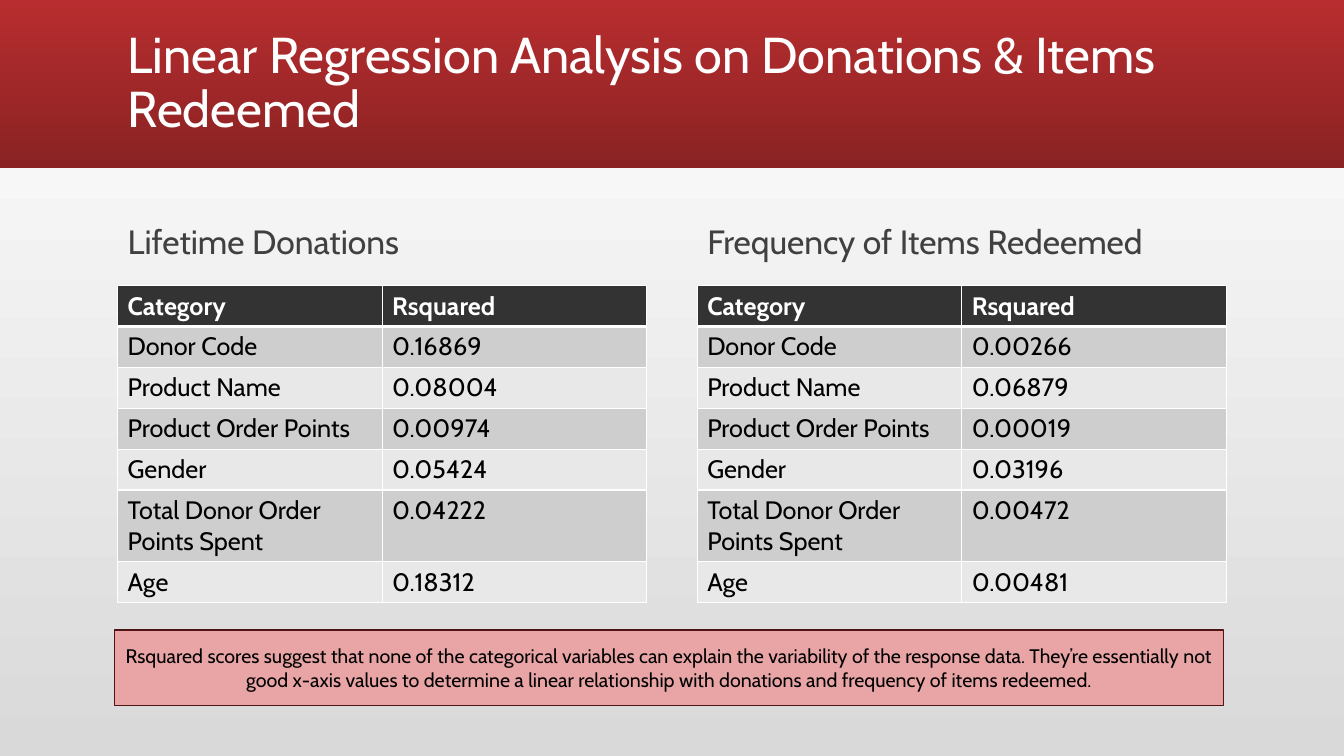
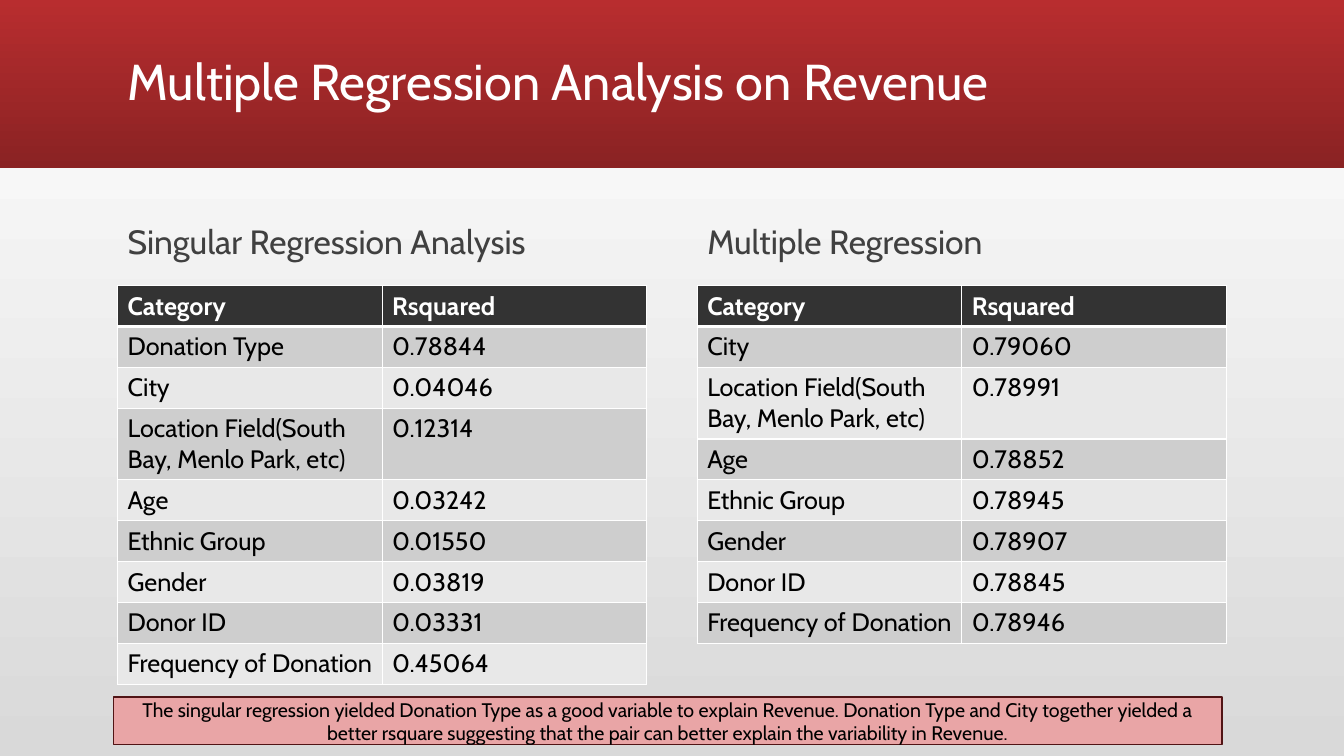
import dataclasses
import typing

import lxml.etree
import pptx
import pptx.dml.color
import pptx.dml.fill
import pptx.enum.shapes
import pptx.enum.text
import pptx.oxml.ns
import pptx.presentation
import pptx.slide
import pptx.table
import pptx.text.text
import pptx.util

Pt = pptx.util.Pt
Align = pptx.enum.text.PP_ALIGN
Anchor = pptx.enum.text.MSO_ANCHOR

FONT = "Cabin"
HUE = {
    "white": "FFFFFF", "black": "000000", "grey": "D9D9D9", "sub": "404040",
    "red": "B82D2F", "dark": "8A2223", "head": "333333",
    "odd": "CECECE", "even": "E8E8E8", "note": "E9A5A6", "edge": "511415",
}
WIDE, HIGH, BAND = 960, 540, 120
LEFT, SPAN, GAP = 84, 792, 36
HALF = (SPAN - GAP) / 2
ROW = 29.2
HEADS = ("Category", "Rsquared")


@dataclasses.dataclass
class Panel:
    name: str
    rows: list[tuple[str, str]]


@dataclasses.dataclass
class Note:
    text: str
    left: float
    top: float
    high: float


@dataclasses.dataclass
class Page:
    title: str
    panels: tuple[Panel, Panel]
    note: Note


PAGES = [
    Page(
        "Linear Regression Analysis on Donations & Items Redeemed",
        (
            Panel("Lifetime Donations", [
                ("Donor Code", "0.16869"),
                ("Product Name", "0.08004"),
                ("Product Order Points", "0.00974"),
                ("Gender", "0.05424"),
                ("Total Donor Order Points Spent", "0.04222"),
                ("Age", "0.18312"),
            ]),
            Panel("Frequency of Items Redeemed", [
                ("Donor Code", "0.00266"),
                ("Product Name", "0.06879"),
                ("Product Order Points", "0.00019"),
                ("Gender", "0.03196"),
                ("Total Donor Order Points Spent", "0.00472"),
                ("Age", "0.00481"),
            ]),
        ),
        Note("Rsquared scores suggest that none of the categorical variables can "
             "explain the variability of the response data. They’re essentially "
             "not good x-axis values to determine a linear relationship with "
             "donations and frequency of items redeemed.", 82, 450, 54),
    ),
    Page(
        "Multiple Regression Analysis on Revenue",
        (
            Panel("Singular Regression Analysis", [
                ("Donation Type", "0.78844"),
                ("City", "0.04046"),
                ("Location Field(South Bay, Menlo Park, etc)", "0.12314"),
                ("Age", "0.03242"),
                ("Ethnic Group", "0.01550"),
                ("Gender", "0.03819"),
                ("Donor ID", "0.03331"),
                ("Frequency of Donation", "0.45064"),
            ]),
            Panel("Multiple Regression", [
                ("City", "0.79060"),
                ("Location Field(South Bay, Menlo Park, etc)", "0.78991"),
                ("Age", "0.78852"),
                ("Ethnic Group", "0.78945"),
                ("Gender", "0.78907"),
                ("Donor ID", "0.78845"),
                ("Frequency of Donation", "0.78946"),
            ]),
        ),
        Note("The singular regression yielded Donation Type as a good variable to "
             "explain Revenue. Donation Type and City together yielded a better "
             "rsquare suggesting that the pair can better explain the variability "
             "in Revenue.", 81, 498, 34),
    ),
]


def rgb(name: str) -> pptx.dml.color.RGBColor:
    return pptx.dml.color.RGBColor.from_string(HUE[name])


def write(frame: pptx.text.text.TextFrame, text: str, *, size: float,
          hue: str = "black", bold: bool = False, align: Align = Align.LEFT,
          lead: float = 1.0, gap: float = 0) -> None:
    frame.word_wrap = True
    frame.text = text
    para = frame.paragraphs[0]
    para.alignment = align
    para.line_spacing = lead
    para.space_before = Pt(gap)
    font = para.runs[0].font
    font.name, font.size, font.bold = FONT, Pt(size), bold
    font.color.rgb = rgb(hue)


def blend(fill: pptx.dml.fill.FillFormat, hues: tuple[str, str],
          angle: float) -> None:
    fill.gradient()
    fill.gradient_angle = angle
    for stop, hue in zip(fill.gradient_stops, hues):
        stop.color.rgb = rgb(hue)


def block(slide: pptx.slide.Slide, left: float, top: float, wide: float,
          high: float) -> typing.Any:
    box = slide.shapes.add_shape(pptx.enum.shapes.MSO_SHAPE.RECTANGLE,
                                 Pt(left), Pt(top), Pt(wide), Pt(high))
    box.shadow.inherit = False
    return box


def theme(deck: pptx.presentation.Presentation, slide: pptx.slide.Slide) -> None:
    """Give the master its background and its title band."""
    master = deck.slide_master
    blend(master.background.fill, ("grey", "white"), 90)
    band = block(slide, 0, 0, WIDE, BAND)
    blend(band.fill, ("red", "dark"), 270)
    band.line.fill.background()
    master.shapes.element.insert(2, band.element)


def hold(slide: pptx.slide.Slide, idx: int, text: str, left: float, top: float,
         wide: float, high: float, **form: typing.Any) -> None:
    """Place and fill one placeholder."""
    spot = next(p for p in slide.placeholders if p.placeholder_format.idx == idx)
    spot.left, spot.top, spot.width, spot.height = map(Pt, (left, top, wide, high))
    frame = spot.text_frame
    frame.auto_size = pptx.enum.text.MSO_AUTO_SIZE.NONE
    frame.vertical_anchor = Anchor.MIDDLE
    write(frame, text, lead=0.9, **form)


def edge(cell: pptx.table._Cell, top: float, low: float) -> None:
    """Draw white borders, which come before the fill in the cell."""
    qn = pptx.oxml.ns.qn
    props = cell._tc.get_or_add_tcPr()
    sides = (("lnL", 1), ("lnR", 1), ("lnT", top), ("lnB", low))
    for spot, (side, wide) in enumerate(sides):
        line = lxml.etree.Element(qn(f"a:{side}"), w=str(int(Pt(wide))))
        fill = lxml.etree.SubElement(line, qn("a:solidFill"))
        lxml.etree.SubElement(fill, qn("a:srgbClr"), val=HUE["white"])
        props.insert(spot, line)


def grid(slide: pptx.slide.Slide, panel: Panel, left: float) -> None:
    rows = [HEADS, *panel.rows]
    table = slide.shapes.add_table(len(rows), len(HEADS), Pt(left), Pt(204),
                                   Pt(HALF), Pt(ROW * len(rows))).table
    table.horz_banding = False
    for r, row in enumerate(rows):
        table.rows[r].height = Pt(ROW)
        head = r == 0
        shade = "head" if head else "odd" if r % 2 else "even"
        for c, text in enumerate(row):
            cell = table.cell(r, c)
            cell.fill.solid()
            cell.fill.fore_color.rgb = rgb(shade)
            edge(cell, 3 if r == 1 else 1, 3 if head else 1)
            write(cell.text_frame, text, size=18, bold=head,
                  hue="white" if head else "black")


def remark(slide: pptx.slide.Slide, note: Note) -> None:
    box = block(slide, note.left, note.top, SPAN, note.high)
    box.fill.solid()
    box.fill.fore_color.rgb = rgb("note")
    box.line.color.rgb = rgb("edge")
    box.line.width = Pt(1)
    box.text_frame.vertical_anchor = Anchor.MIDDLE
    write(box.text_frame, note.text, size=14, align=Align.CENTER)


def draw(slide: pptx.slide.Slide, page: Page) -> None:
    hold(slide, 0, page.title, LEFT, 8, SPAN, 104, size=36, hue="white")
    for n, panel in enumerate(page.panels):
        left = LEFT + n * (HALF + GAP)
        hold(slide, 1 + 2 * n, panel.name, left, 144, HALF, 60,
             size=24, hue="sub", gap=18)
        grid(slide, panel, left)
    remark(slide, page.note)
    # Unused content placeholders
    for spot in list(slide.placeholders):
        if spot.placeholder_format.idx in (2, 4):
            spot.element.getparent().remove(spot.element)


def main() -> None:
    deck = pptx.Presentation()
    deck.slide_width, deck.slide_height = Pt(WIDE), Pt(HIGH)
    layout = deck.slide_layouts.get_by_name("Comparison")
    slides = [deck.slides.add_slide(layout) for _ in PAGES]
    theme(deck, slides[0])
    for slide, page in zip(slides, PAGES):
        draw(slide, page)
    deck.save("out.pptx")


if __name__ == "__main__":
    main()
